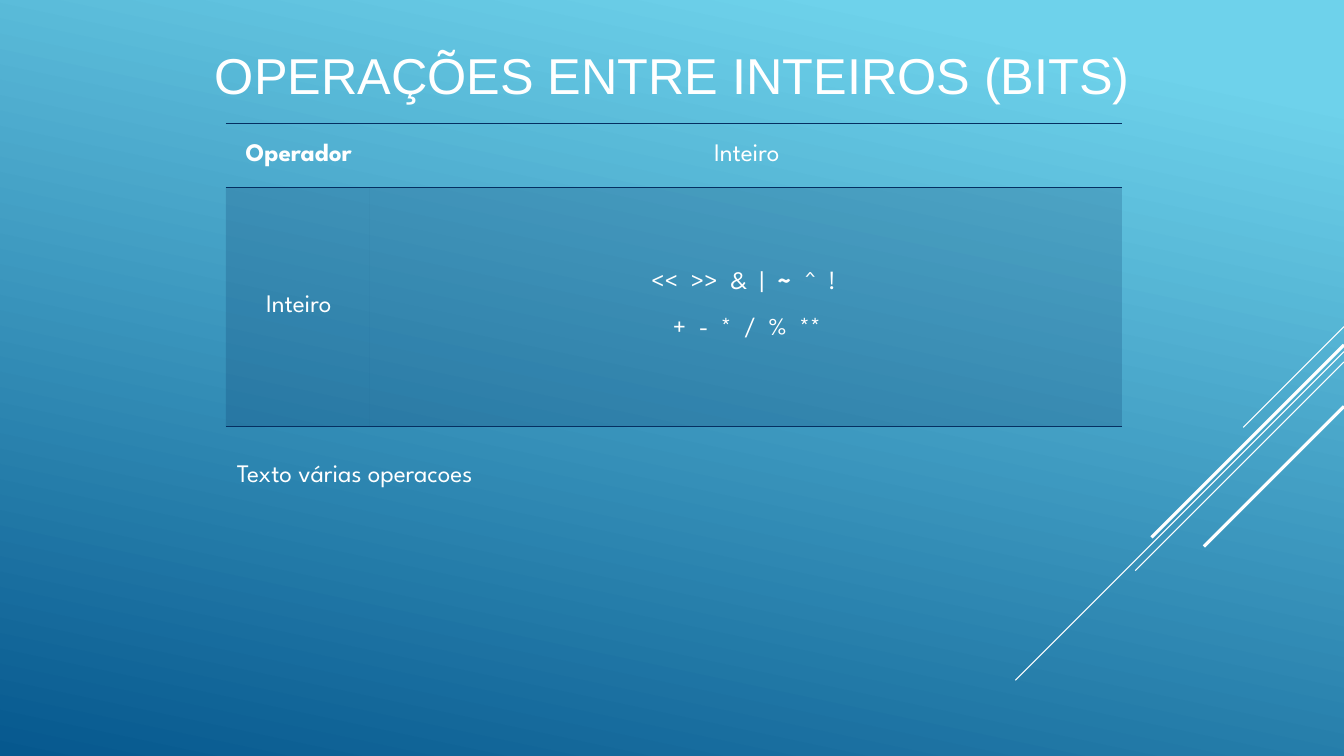
import pptx
import pptx.dml.color
import pptx.enum.shapes
import pptx.enum.text
import pptx.oxml
import pptx.oxml.ns
import pptx.util
from pptx.util import Cm

WIDTH, HEIGHT = 33.87, 19.05
NAVY, WHITE = "052F61", "FFFFFF"
BODY = {"size": pptx.util.Pt(18), "name": "League Spartan", "bold": False}
NO_STYLE = "{2D5ABB26-0587-4C30-8999-92F81FD0307C}"
MIDDLE = pptx.enum.text.MSO_ANCHOR.MIDDLE
CENTER = pptx.enum.text.PP_ALIGN.CENTER


def rgb(value):
    """Return the colour for a hex string."""
    return pptx.dml.color.RGBColor.from_string(value)


def xml(text):
    """Return an element parsed from text in the drawing namespace."""
    return pptx.oxml.parse_xml(text.replace(">", f" {pptx.oxml.ns.nsdecls('a')}>", 1))


def add_run(p, text, **formats):
    """Add a white run with body formatting and any overrides."""
    r = p.add_run()
    r.text = text
    for name, value in {**BODY, **formats}.items():
        setattr(r.font, name, value)
    r.font.color.rgb = rgb(WHITE)


def paint_background(s):
    """Fill the slide with the blue gradient."""
    fill = s.background.fill
    fill.gradient()
    fill.gradient_angle = 258
    for stop, (position, color) in zip(fill.gradient_stops, [(0.1, "6ED2EB"), (1, "06588E")]):
        stop.position = position
        stop.color.rgb = rgb(color)


def add_rays(s, right):
    """Draw the diagonal lines running down from the right edge."""
    rays = [(8.23, 2.54, 0.75), (8.86, 8.28, 0.75), (9.12, 5.26, 0.75),
            (8.69, 4.85, 2.25), (10.24, 3.53, 2.25)]
    for top, run, weight in rays:
        line = s.shapes.add_connector(pptx.enum.shapes.MSO_CONNECTOR.STRAIGHT,
                                      Cm(right), Cm(top), Cm(right - run), Cm(top + run))
        line.line.color.rgb = rgb(WHITE)
        line.line.width = pptx.util.Pt(weight)
        line._element.spPr.append(xml("<a:effectLst></a:effectLst>"))


def add_title(s, box):
    """Place the slide title in its box."""
    sp = s.shapes.title
    sp.left, sp.top, sp.width, sp.height = map(Cm, box)
    tf = sp.text_frame
    tf.word_wrap = True
    tf.auto_size = pptx.enum.text.MSO_AUTO_SIZE.NONE
    tf.vertical_anchor = MIDDLE
    p = tf.paragraphs[0]
    p.alignment = CENTER
    add_run(p, "OPERAÇÕES ENTRE INTEIROS (BITS)", name="Arial", size=pptx.util.Pt(36))


def format_cell(cell, shaded, sides):
    """Set the fill, margins and rules of a table cell."""
    margins = {"margin_left": 0.3, "margin_right": 0.25, "margin_top": 0.13, "margin_bottom": 0.13}
    for name, value in margins.items():
        setattr(cell, name, Cm(value))
    cell.vertical_anchor = MIDDLE
    tcPr = cell._tc.get_or_add_tcPr()
    if shaded:
        cell.fill.solid()
        cell.fill.fore_color.rgb = rgb(NAVY)
        tcPr.find(".//" + pptx.oxml.ns.qn("a:srgbClr")).append(xml('<a:alpha val="20000"></a:alpha>'))
    else:
        cell.fill.background()
    for i, side in enumerate(sides):
        tcPr.insert(i, xml(f'<a:ln{side} w="12700"><a:solidFill><a:srgbClr val="{NAVY}"/>'
                           f'</a:solidFill></a:ln{side}>'))


def add_operator_table(s, box):
    """Build the operator table from rows of cells, paragraphs and runs."""
    left, top, width, height = box
    rows = [
        [[[("Operador", True)]], [[("Inteiro", False)]]],
        [[[("Inteiro", False)]],
         [[("<<  >>  &  |  ", False), ("~  ", True), ("^  ! ", False)],
          [("+  -  *  /  %  **", False)]]],
    ]
    table = s.shapes.add_table(2, 2, Cm(left), Cm(top), Cm(width), Cm(height)).table
    table.first_row = table.horz_banding = False
    table._tbl.tblPr.find(pptx.oxml.ns.qn("a:tableStyleId")).text = NO_STYLE
    first_column, header = 3.63, 1.6
    table.columns[0].width, table.columns[1].width = Cm(first_column), Cm(width - first_column)
    table.rows[0].height, table.rows[1].height = Cm(header), Cm(height - header)
    for i, row in enumerate(rows):
        for j, paragraphs in enumerate(row):
            cell = table.cell(i, j)
            format_cell(cell, shaded=i > 0, sides="B" if i else "TB")
            tf = cell.text_frame
            for k, runs in enumerate(paragraphs):
                p = tf.add_paragraph() if k else tf.paragraphs[0]
                p.alignment = CENTER
                p.space_before = pptx.util.Pt(16.5 * k)
                for text, bold in runs:
                    add_run(p, text, bold=bold)


def add_note(s, box):
    """Add the line of text under the table."""
    tf = s.shapes.add_textbox(*map(Cm, box)).text_frame
    tf.word_wrap = True
    tf.auto_size = pptx.enum.text.MSO_AUTO_SIZE.SHAPE_TO_FIT_TEXT
    add_run(tf.paragraphs[0], "Texto várias operacoes")


def main():
    """Build and save the presentation."""
    prs = pptx.Presentation()
    prs.slide_width, prs.slide_height = Cm(WIDTH), Cm(HEIGHT)
    s = prs.slides.add_slide(prs.slide_layouts[5])
    paint_background(s)
    add_rays(s, WIDTH)
    add_title(s, (0, -0.13, 33.91, 3.99))
    add_operator_table(s, (5.69, 3.12, 22.58, 7.62))
    add_note(s, (5.72, 11.4, 18.92, 1.02))
    prs.save("out.pptx")


if __name__ == "__main__":
    main()
